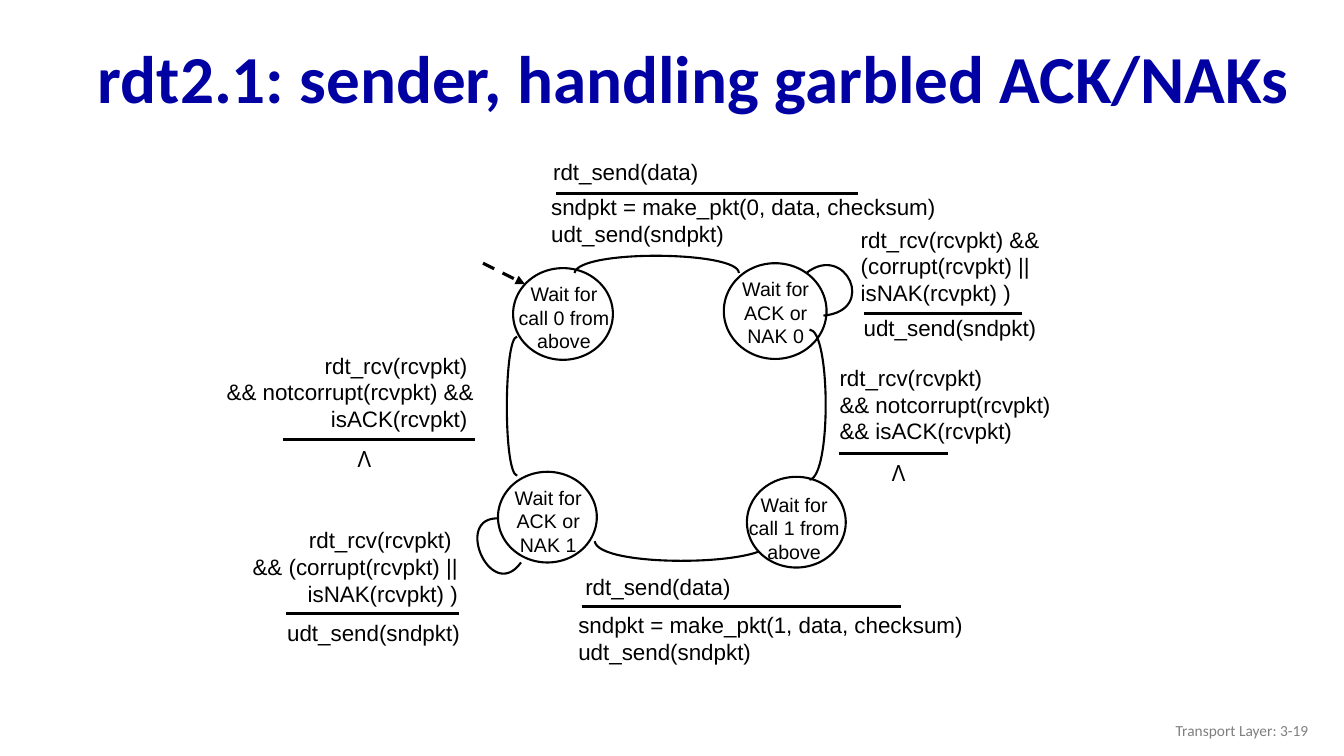
from pptx import Presentation
from pptx.dml.color import RGBColor
from pptx.enum.dml import MSO_LINE
from pptx.enum.shapes import MSO_CONNECTOR, MSO_SHAPE
from pptx.enum.text import MSO_ANCHOR, MSO_AUTO_SIZE, PP_ALIGN as ALIGN
from pptx.oxml.ns import qn
from pptx.util import Pt
from lxml.etree import SubElement


def rgb(code):
    return RGBColor.from_string(code)


class StateDiagram:
    """Draws a state machine on one slide in a single style."""

    INK, PAPER, NAVY, GREY = "000000", "FFFFFF", "0000A3", "7F7F7F"

    def __init__(self, slide):
        self.slide = slide
        self.shapes = slide.shapes

    def set_text(self, frame, lines, size, font="Arial", color=INK, align=ALIGN.LEFT,
                 anchor=MSO_ANCHOR.TOP, bold=False):
        frame.word_wrap = True
        frame.auto_size = MSO_AUTO_SIZE.NONE
        frame.vertical_anchor = anchor
        frame.text = "\n".join(lines)
        for paragraph in frame.paragraphs:
            paragraph.alignment = align
            paragraph.font.size = Pt(size)
            paragraph.font.name = font
            paragraph.font.bold = bold
            paragraph.font.color.rgb = rgb(color)

    def title(self, text, x, y, width, height):
        heading = self.shapes.title
        heading.left, heading.top = Pt(x), Pt(y)
        heading.width, heading.height = Pt(width), Pt(height)
        self.set_text(heading.text_frame, [text], 48, "Calibri", self.NAVY,
                      anchor=MSO_ANCHOR.MIDDLE, bold=True)
        heading.text_frame.paragraphs[0].line_spacing = 0.9

    def text(self, lines, x, y, width, height, size=16, **style):
        box = self.shapes.add_textbox(Pt(x), Pt(y), Pt(width), Pt(height))
        self.set_text(box.text_frame, lines, size, **style)

    def stroke(self, shape, weight):
        shape.line.color.rgb = rgb(self.INK)
        shape.line.width = Pt(weight)

    def state(self, lines, circle, label):
        oval = self.shapes.add_shape(MSO_SHAPE.OVAL, *map(Pt, circle))
        oval.shadow.inherit = False
        oval.fill.solid()
        oval.fill.fore_color.rgb = rgb(self.PAPER)
        self.stroke(oval, 1.5)
        self.text(lines, *label, 50, size=14, align=ALIGN.CENTER)

    def line(self, x1, y1, x2, y2):
        rule = self.shapes.add_connector(MSO_CONNECTOR.STRAIGHT, *map(Pt, (x1, y1, x2, y2)))
        self.stroke(rule, 2.25)
        SubElement(rule._element.spPr, qn("a:effectLst"))
        return rule

    def start_arrow(self, *ends):
        arrow = self.line(*ends)
        arrow.line.dash_style = MSO_LINE.DASH
        SubElement(arrow.line._get_or_add_ln(), qn("a:tailEnd"), type="triangle")

    def curve(self, start, *controls):
        builder = self.shapes.build_freeform(Pt(start[0]), Pt(start[1]))
        builder.add_line_segments([(Pt(x), Pt(y)) for x, y in controls], close=False)
        arc = builder.convert_to_shape()
        arc.shadow.inherit = False
        arc.fill.background()
        self.stroke(arc, 1.5)
        outline = next(arc._element.iter(qn("a:path")))
        bezier = SubElement(outline, qn("a:cubicBezTo"))
        for segment in outline.findall(qn("a:lnTo")):
            bezier.append(segment[0])
            outline.remove(segment)


def main():
    deck = Presentation()
    deck.slide_width, deck.slide_height = Pt(960), Pt(540)
    fsm = StateDiagram(deck.slides.add_slide(deck.slide_layouts[5]))
    fsm.title("rdt2.1: sender, handling garbled ACK/NAKs", 62.6, 23, 874, 70.6)

    fsm.state(["Wait for call 0 from above"], (366.5, 191.5, 71.3, 65.5), (360, 198, 85.7))
    fsm.state(["Wait for ACK or NAK 0"], (517, 188, 73.4, 68.4), (511.2, 194.4, 85.7))
    fsm.start_arrow(345, 188, 375, 203)

    fsm.curve((410.4, 195), (413.3, 178), (527.8, 179.3), (527.8, 195))
    fsm.curve((576, 195), (604, 173), (627, 222), (588.2, 225.4))
    fsm.curve((424.8, 386.6), (427, 406), (550.8, 404.6), (550.8, 386.6))
    fsm.curve((372.2, 401.8), (350, 432.7), (321, 363.6), (360.7, 370.8))

    fsm.state(["Wait for", "call 1 from above"], (533.5, 340.6, 70.6, 64.8), (523.4, 348.5, 87.8))
    fsm.state(["Wait for ACK or NAK 1"], (355.7, 337, 70.6, 64.8), (350.6, 343.4, 82))

    fsm.curve((578.2, 342.7), (594, 340.6), (593.3, 235.4), (578.2, 235.4))
    fsm.curve((369.4, 339.8), (359.3, 337.7), (360, 240.5), (369.4, 240.5))

    sends = [(0, 388, 109.4, 386.6, 134.6), (1, 411, 406, 406, 432.7)]
    for number, event_x, event_y, action_x, action_y in sends:
        fsm.text(["rdt_send(data)"], event_x, event_y, 170, 24)
        fsm.text([f"sndpkt = make_pkt({number}, data, checksum)", "udt_send(sndpkt)"],
                 action_x, action_y, 295, 32)

    fsm.text(["rdt_rcv(rcvpkt) && (corrupt(rcvpkt) ||", "isNAK(rcvpkt) )"],
             607.7, 157.7, 250.5, 44.6)
    fsm.text(["rdt_rcv(rcvpkt) ", "&& (corrupt(rcvpkt) ||", "isNAK(rcvpkt) )"],
             146.2, 372.2, 188, 44.6, align=ALIGN.RIGHT)
    for x, y in [(609.8, 221), (198, 438.5)]:
        fsm.text(["udt_send(sndpkt)"], x, y, 143, 24)

    fsm.text(["rdt_rcv(rcvpkt)", "&& notcorrupt(rcvpkt)", "&& isACK(rcvpkt)"],
             592.6, 256.3, 236, 44.6)
    fsm.text(["rdt_rcv(rcvpkt) ", "&& notcorrupt(rcvpkt) && isACK(rcvpkt) "],
             60.5, 247.7, 285, 44.6, align=ALIGN.RIGHT)
    for x, y in [(629.3, 324.7), (247.7, 314.6)]:
        fsm.text(["Λ"], x, y, 25.2, 26.6, font="Open Sans", align=ALIGN.CENTER)

    rules = [(397.4, 138.2, 612.7), (617, 224, 730), (415.4, 433.4, 643.7),
             (204.5, 438.5, 327.6), (599, 324, 677.5), (202.3, 314, 339)]
    for left, y, right in rules:
        fsm.line(left, y, right, y)

    fsm.text(["Transport Layer: 3-19"], 725.8, 507.6, 216, 28.8, size=11, font="Calibri",
             color=fsm.GREY, align=ALIGN.RIGHT, anchor=MSO_ANCHOR.MIDDLE)
    deck.save("out.pptx")


if __name__ == "__main__":
    main()
